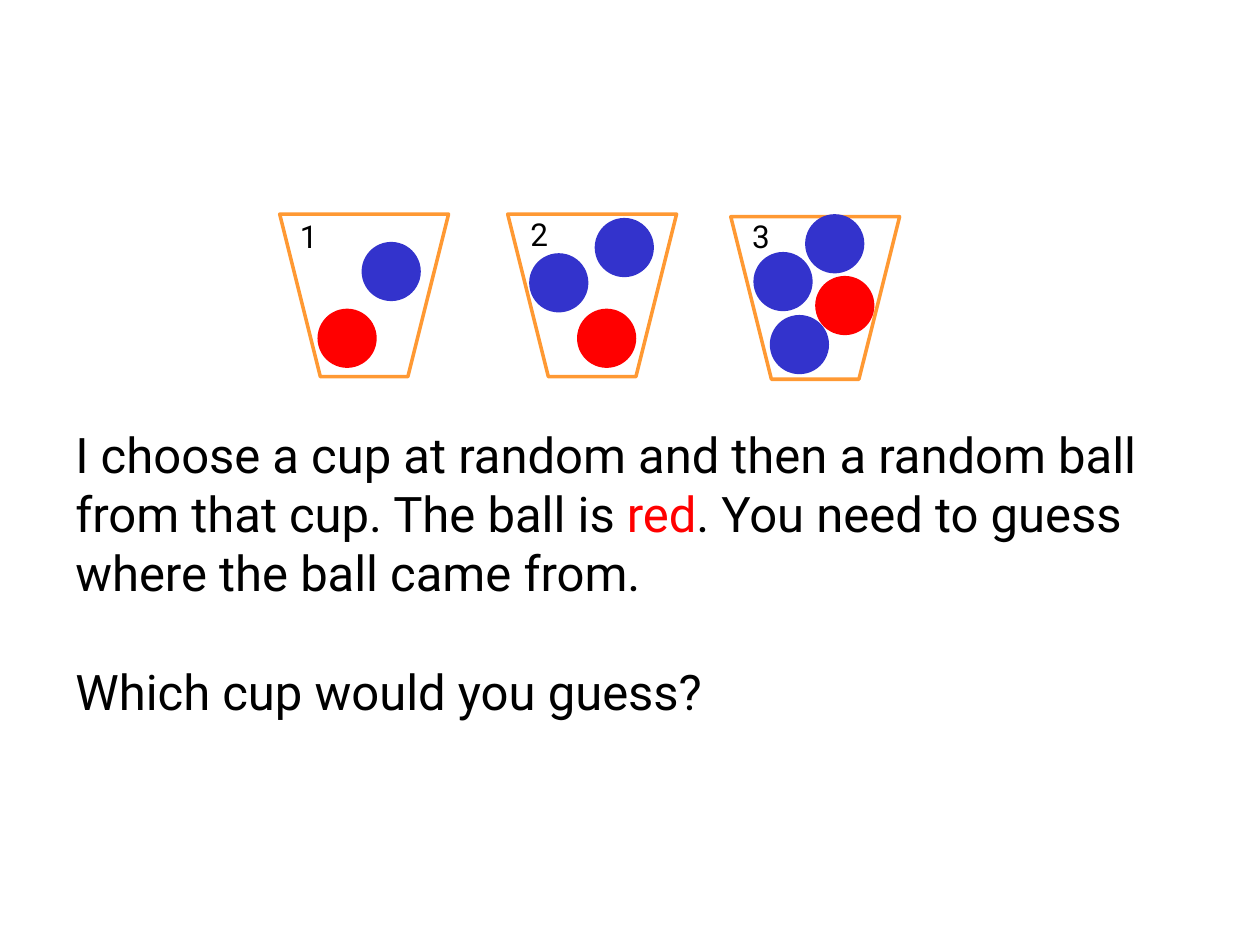
from pptx import Presentation
from pptx.dml.color import RGBColor
from pptx.enum.shapes import MSO_SHAPE
from pptx.enum.text import MSO_ANCHOR, PP_ALIGN
from pptx.util import Inches, Pt

COLORS = {"cup": "FF9933", "red": "FF0000", "blue": "3333CC", "text": "000000"}
FONT = "Roboto"
CUP_SIZE = (1.34, 1.29)
BALL_SIZE = (0.47, 0.47)
LABEL_SIZE = (0.5, 0.5)

# Label and ball positions are offsets from the cup's top left corner.
CUPS = [
    {"number": "1", "at": (2.22, 1.7), "label": (-0.02, -0.08),
     "balls": [("red", 0.3, 0.75), ("blue", 0.65, 0.22)]},
    {"number": "2", "at": (4.03, 1.7), "label": (0, -0.09),
     "balls": [("red", 0.55, 0.75), ("blue", 0.69, 0.03), ("blue", 0.17, 0.31)]},
    {"number": "3", "at": (5.8, 1.72), "label": (-0.01, -0.1),
     "balls": [("red", 0.67, 0.47), ("blue", 0.59, -0.02),
               ("blue", 0.18, 0.28), ("blue", 0.31, 0.78)]},
]

PASSAGES = [
    ((0.5, 3.32, 9, 1.51), [
        ("I choose a cup at random and then a random ball from that cup. The ball is ", "text"),
        ("red", "red"),
        (". You need to guess where the ball came from.", "text"),
    ]),
    ((0.5, 5.2, 8.12, 0.57), [("Which cup would you guess?", "text")]),
]


def color(name):
    return RGBColor.from_string(COLORS[name])


def add_run(paragraph, words, size, color_name):
    run = paragraph.add_run()
    run.text = words
    run.font.name = FONT
    run.font.size = Pt(size)
    run.font.color.rgb = color(color_name)


def add_outline(slide, preset, at, size, fill=None, line=None):
    """Add a flat preset shape; a missing fill or line is left empty."""
    shape = slide.shapes.add_shape(preset, *map(Inches, at + size))
    shape.shadow.inherit = False
    if fill:
        shape.fill.solid()
        shape.fill.fore_color.rgb = color(fill)
    else:
        shape.fill.background()
    if line:
        shape.line.color.rgb = color(line)
        shape.line.width = Pt(2)
    else:
        shape.line.fill.background()
    return shape


def add_cup(slide, cup):
    left, top = cup["at"]
    outline = add_outline(slide, MSO_SHAPE.TRAPEZOID, cup["at"], CUP_SIZE, line="cup")
    outline._element.spPr.xfrm.set("flipV", "1")

    for ball, dx, dy in cup["balls"]:
        add_outline(slide, MSO_SHAPE.OVAL, (left + dx, top + dy), BALL_SIZE, fill=ball)

    dx, dy = cup["label"]
    label = add_outline(slide, MSO_SHAPE.OVAL, (left + dx, top + dy), LABEL_SIZE)
    label.text_frame.vertical_anchor = MSO_ANCHOR.MIDDLE
    paragraph = label.text_frame.paragraphs[0]
    paragraph.alignment = PP_ALIGN.CENTER
    add_run(paragraph, cup["number"], 18, "text")


def add_passage(slide, box, runs):
    frame = slide.shapes.add_textbox(*map(Inches, box)).text_frame
    frame.word_wrap = True
    for words, color_name in runs:
        add_run(frame.paragraphs[0], words, 28, color_name)


def main():
    deck = Presentation()
    deck.slide_width, deck.slide_height = Inches(10), Inches(7.5)
    slide = deck.slides.add_slide(deck.slide_layouts[6])
    for cup in CUPS:
        add_cup(slide, cup)
    for box, runs in PASSAGES:
        add_passage(slide, box, runs)
    deck.save("out.pptx")


if __name__ == "__main__":
    main()
